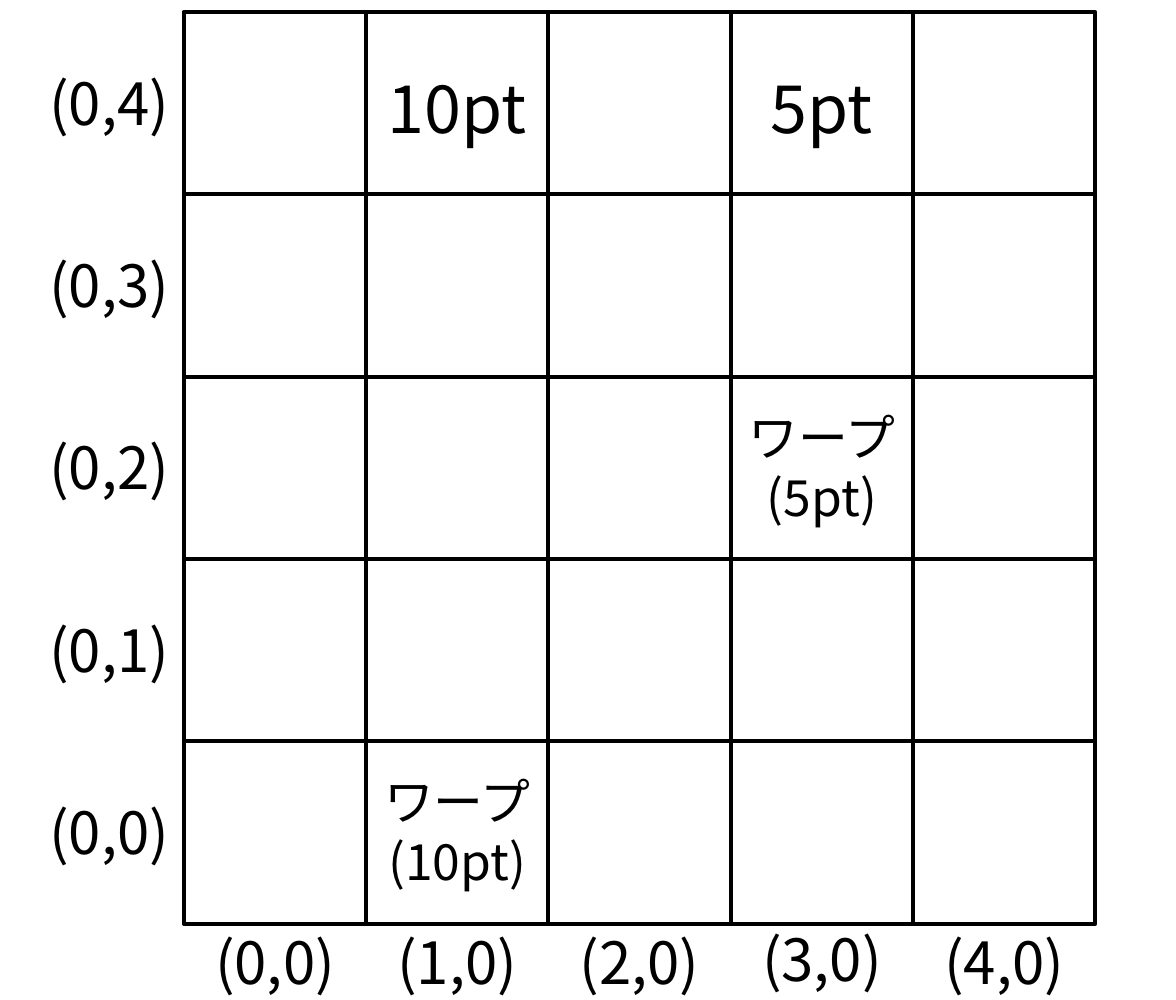
from dataclasses import dataclass

from lxml import etree
from pptx import Presentation
from pptx import util as u
from pptx.dml.color import RGBColor
from pptx.enum import shapes, text
from pptx.oxml.ns import qn

ROW_LABELS = ["(0,4)", "(0,3)", "(0,2)", "(0,1)", "(0,0)"]
COLUMN_LABELS = [
    ("(0,0)", 6.15),
    ("(1,0)", 6.15),
    ("(2,0)", 6.15),
    ("(3,0)", 6.13),
    ("(4,0)", 6.15),
]
POINT_CELLS = [(1, 0, "10pt"), (3, 0, "5pt")]
WARP_CELLS = [(3, 2, "ワープ\n(5pt)"), (1, 4, "ワープ\n(10pt)")]


@dataclass(frozen=True)
class Theme:
    font: str = "Noto Sans CJK JP"
    ink: RGBColor = RGBColor(0, 0, 0)
    paper: RGBColor = RGBColor(255, 255, 255)
    line: float = 2
    points: int = 32
    label: int = 28
    warp: int = 24


THEME = Theme()
SLIDE_WIDTH, SLIDE_HEIGHT = 7.87, 6.69
COUNT, CELL = 5, 1.22
LEFT, TOP = 1.23, 0.08
SIDE = COUNT * CELL
LABEL_LEFT, LABEL_WIDTH, LABEL_HEIGHT = 0.12, 1.11, 0.57
LABEL_DROP = 0.32
POINTS_HEIGHT = 0.64
WARP_DROP, WARP_HEIGHT = 0.15, 0.91


def column_left(column):
    return LEFT + column * CELL


def row_top(row):
    return TOP + row * CELL


def add_text(slide, content, box, size, align=text.PP_ALIGN.CENTER):
    shape = slide.shapes.add_textbox(*map(u.Inches, box))
    frame = shape.text_frame
    frame.word_wrap = True
    frame.auto_size = text.MSO_AUTO_SIZE.SHAPE_TO_FIT_TEXT
    frame.text = content
    for paragraph in frame.paragraphs:
        paragraph.alignment = align
        for run in paragraph.runs:
            run.font.size = u.Pt(size)
            run.font.color.rgb = THEME.ink
            run.font.name = THEME.font
            east_asian = etree.SubElement(run.font._element, qn("a:ea"))
            east_asian.set("typeface", THEME.font)


def add_line(slide, *ends):
    connector = slide.shapes.add_connector(
        shapes.MSO_CONNECTOR.STRAIGHT, *map(u.Inches, ends)
    )
    connector.line.color.rgb = THEME.ink
    connector.line.width = u.Pt(THEME.line)
    etree.SubElement(connector._element.spPr, qn("a:effectLst"))


def add_board(slide):
    board = slide.shapes.add_shape(
        shapes.MSO_SHAPE.RECTANGLE, *map(u.Inches, (LEFT, TOP, SIDE, SIDE))
    )
    board.shadow.inherit = False
    board.fill.solid()
    board.fill.fore_color.rgb = THEME.paper
    board.line.color.rgb = THEME.ink
    board.line.width = u.Pt(THEME.line)
    for index in range(1, COUNT):
        x, y = column_left(index), row_top(index)
        add_line(slide, LEFT, y, LEFT + SIDE, y)
        add_line(slide, x, TOP, x, TOP + SIDE)


def add_labels(slide):
    for row, label in enumerate(ROW_LABELS):
        box = (LABEL_LEFT, row_top(row) + LABEL_DROP, LABEL_WIDTH, LABEL_HEIGHT)
        add_text(slide, label, box, THEME.label, text.PP_ALIGN.RIGHT)
    for column, (label, top) in enumerate(COLUMN_LABELS):
        box = (column_left(column), top, CELL, LABEL_HEIGHT)
        add_text(slide, label, box, THEME.label)


def add_cells(slide, cells, drop, height, size):
    for column, row, content in cells:
        box = (column_left(column), row_top(row) + drop, CELL, height)
        add_text(slide, content, box, size)


def main():
    presentation = Presentation()
    presentation.slide_width = u.Inches(SLIDE_WIDTH)
    presentation.slide_height = u.Inches(SLIDE_HEIGHT)
    slide = presentation.slides.add_slide(presentation.slide_layouts[6])
    add_board(slide)
    add_labels(slide)
    add_cells(slide, POINT_CELLS, LABEL_DROP, POINTS_HEIGHT, THEME.points)
    add_cells(slide, WARP_CELLS, WARP_DROP, WARP_HEIGHT, THEME.warp)
    presentation.save("out.pptx")


if __name__ == "__main__":
    main()
